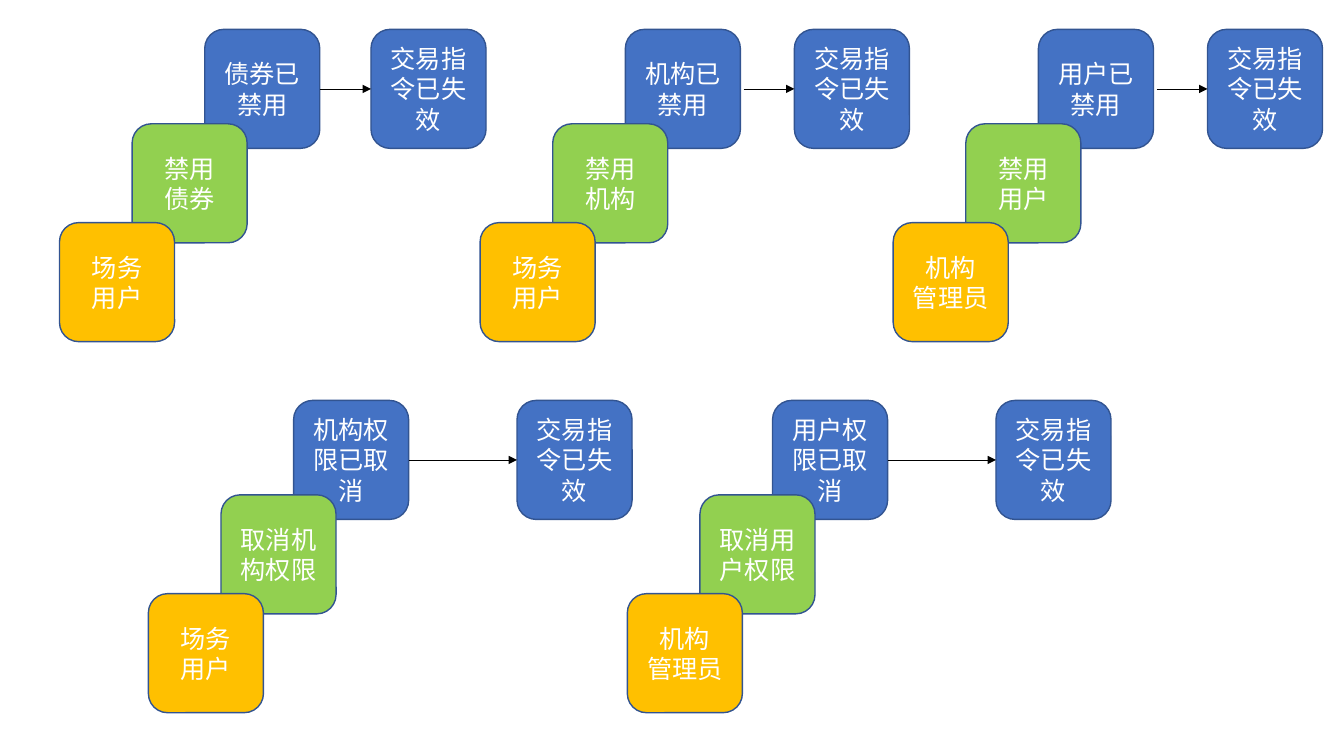
import dataclasses

import pptx
import pptx.dml.color
import pptx.enum.dml
import pptx.enum.shapes
import pptx.enum.text
import pptx.oxml
import pptx.oxml.ns
import pptx.shapes.autoshape
import pptx.slide
import pptx.util

Cm = pptx.util.Cm
Color = pptx.dml.color.RGBColor

BLUE = Color(0x44, 0x72, 0xC4)
GREEN = Color(0x92, 0xD0, 0x50)
GOLD = Color(0xFF, 0xC0, 0x00)
EDGE = Color(0x32, 0x54, 0x91)
WHITE = Color(0xFF, 0xFF, 0xFF)
BLACK = Color(0x00, 0x00, 0x00)

FONT = "Noto Sans CJK SC"
WIDTH, HEIGHT = 2.9, 3.0
STEP = 1.83
DROPS = (0, 2.38, 4.87)
UPPER, LOWER = 0.74, 10.09
RESULT = "交易指令已失效"


@dataclasses.dataclass
class Flow:
    left: float
    top: float
    reach: float
    state: str
    action: str
    actor: str
    slack: float = 0


FLOWS = [
    Flow(5.16, UPPER, 4.19, "债券已禁用", "禁用\n债券", "场务\n用户"),
    Flow(15.76, UPPER, 4.26, "机构已禁用", "禁用\n机构", "场务\n用户", 0.08),
    Flow(26.17, UPPER, 4.26, "用户已禁用", "禁用\n用户", "机构\n管理员", 0.08),
    Flow(7.4, LOWER, 5.63, "机构权限已取消", "取消机构权限", "场务\n用户"),
    Flow(19.47, LOWER, 5.63, "用户权限已取消", "取消用户权限", "机构\n管理员"),
]


def write(shape: pptx.shapes.autoshape.Shape, text: str, *, size: float = 18,
          color: Color = WHITE, font: str = FONT) -> None:
    frame = shape.text_frame
    frame.word_wrap = True
    frame.vertical_anchor = pptx.enum.text.MSO_ANCHOR.MIDDLE
    frame.text = text
    for para in frame.paragraphs:
        para.alignment = pptx.enum.text.PP_ALIGN.CENTER
        for run in para.runs:
            run.font.size = pptx.util.Pt(size)
            run.font.color.rgb = color
            run.font.name = font
            east = pptx.oxml.parse_xml(
                f'<a:ea {pptx.oxml.ns.nsdecls("a")} typeface="{font}"/>')
            run.font._element.find(pptx.oxml.ns.qn("a:latin")).addnext(east)


def add_box(slide: pptx.slide.Slide, left: float, top: float, text: str,
            fill: Color) -> pptx.shapes.autoshape.Shape:
    box = slide.shapes.add_shape(
        pptx.enum.shapes.MSO_SHAPE.ROUNDED_RECTANGLE,
        Cm(left), Cm(top), Cm(WIDTH), Cm(HEIGHT))
    box.shadow.inherit = False
    box.fill.solid()
    box.fill.fore_color.rgb = fill
    box.line.color.rgb = EDGE
    box.line.width = pptx.util.Pt(1)
    write(box, text)
    return box


def add_arrow(slide: pptx.slide.Slide, start: pptx.shapes.autoshape.Shape,
              end: pptx.shapes.autoshape.Shape, slack: float) -> None:
    level = start.top + start.height // 2
    arrow = slide.shapes.add_connector(
        pptx.enum.shapes.MSO_CONNECTOR.STRAIGHT,
        start.left + start.width + Cm(slack), level, end.left, level)
    if not slack:
        arrow.begin_connect(start, 3)
    arrow.end_connect(end, 1)
    arrow.line.color.rgb = BLACK
    arrow.line.width = pptx.util.Pt(0.5)
    space = pptx.oxml.ns.nsdecls("a")
    arrow.line._get_or_add_ln().append(
        pptx.oxml.parse_xml(f'<a:tailEnd {space} type="triangle"/>'))
    arrow._element.spPr.append(pptx.oxml.parse_xml(f"<a:effectLst {space}/>"))


def add_flow(slide: pptx.slide.Slide, flow: Flow) -> None:
    texts = (flow.state, flow.action, flow.actor)
    stairs = [
        add_box(slide, flow.left - rank * STEP, flow.top + drop, text, fill)
        for rank, (drop, text, fill)
        in enumerate(zip(DROPS, texts, (BLUE, GREEN, GOLD)))
    ]
    result = add_box(slide, flow.left + flow.reach, flow.top, RESULT, BLUE)
    add_arrow(slide, stairs[0], result, flow.slack)


def main() -> None:
    deck = pptx.Presentation()
    deck.slide_width, deck.slide_height = Cm(33.87), Cm(19.05)
    slide = deck.slides.add_slide(deck.slide_layouts[6])
    for flow in FLOWS:
        add_flow(slide, flow)
    deck.save("out.pptx")


if __name__ == "__main__":
    main()
